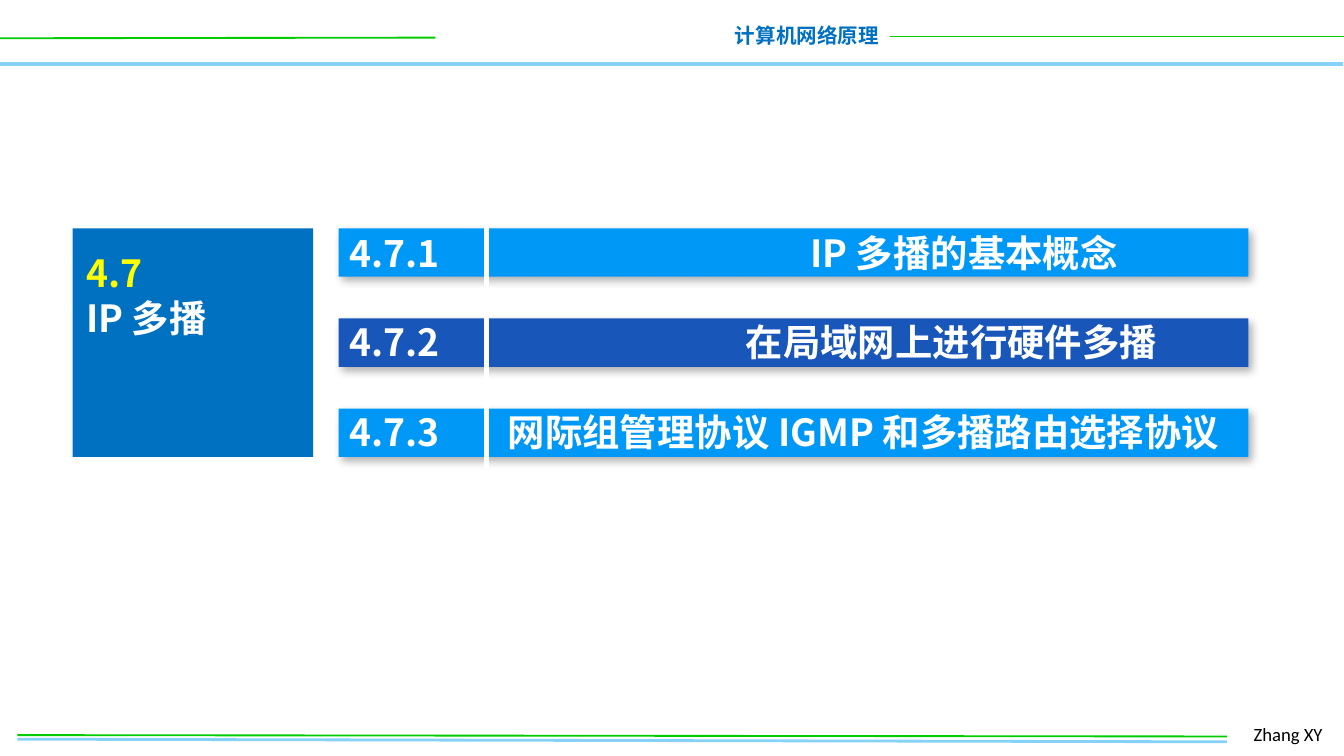
from dataclasses import dataclass

import lxml.etree
import pptx
import pptx.dml.color
import pptx.enum.shapes
import pptx.enum.text
import pptx.oxml.ns
import pptx.util

CELL = pptx.util.Inches(0.1)
COLS, ROWS = 100, 56.25
qn = pptx.oxml.ns.qn
Align = pptx.enum.text.PP_ALIGN


@dataclass(frozen=True)
class Theme:
    cjk: str = "Noto Sans CJK SC"
    latin: str = "Calibri"
    heading: float = 20
    header: float = 11
    footer: float = 10
    leading: float = 1.2
    white: str = "FFFFFF"
    black: str = "000000"
    yellow: str = "FFFF00"
    green: str = "00CC00"
    sky: str = "85D1F7"
    blue: str = "0070C0"
    bar: str = "0098F6"
    bar_active: str = "1956B9"


@dataclass(frozen=True)
class Box:
    """A rectangle in grid columns and rows."""
    col: float
    row: float
    cols: float
    rows: float

    def emu(self) -> list[int]:
        return [round(n * CELL) for n in (self.col, self.row, self.cols, self.rows)]


@dataclass(frozen=True)
class Rule:
    start: tuple[float, float]
    end: tuple[float, float]
    color: str
    width: float


@dataclass(frozen=True)
class Section:
    number: str
    name: str
    tab: float
    fill: str


T = Theme()
RULES = [
    Rule((-0.1, 4.75), (99.9, 4.75), T.sky, 2),
    Rule((0, 2.85), (32.4, 2.8), T.green, 1),
    Rule((66.2, 2.72), (100.1, 2.72), T.green, 1),
    Rule((1.3, 55), (91.3, 55.2), T.sky, 1.5),
    Rule((1.3, 54.7), (91.3, 54.8), T.green, 1),
]
DIVIDER = Rule((36.2, 16.2), (36.2, 41.2), T.white, 2.25)
SECTIONS = [
    Section("4.7.1", "IP 多播的基本概念", 34.3, T.bar),
    Section("4.7.2", "在局域网上进行硬件多播", 29.5, T.bar_active),
    Section("4.7.3", "网际组管理协议 IGMP 和多播路由选择协议", 11.8, T.bar),
]
FIRST_BAR = Box(25.2, 17, 67.7, 3.6)
BAR_PITCH = 6.7


def rgb(color: str) -> pptx.dml.color.RGBColor:
    return pptx.dml.color.RGBColor.from_string(color)


def add_rule(slide, rule: Rule) -> None:
    ends = [round(n * CELL) for n in (*rule.start, *rule.end)]
    line = slide.shapes.add_connector(pptx.enum.shapes.MSO_CONNECTOR.STRAIGHT, *ends)
    line.line.color.rgb = rgb(rule.color)
    line.line.width = pptx.util.Pt(rule.width)
    lxml.etree.SubElement(line._element.spPr, qn("a:effectLst"))


def add_panel(slide, box: Box, color: str):
    sp = slide.shapes.add_shape(pptx.enum.shapes.MSO_SHAPE.RECTANGLE, *box.emu())
    sp.shadow.inherit = False
    sp.fill.solid()
    sp.fill.fore_color.rgb = rgb(color)
    sp.line.fill.background()
    return sp


def add_soft_shadow(sp) -> None:
    effects = sp._element.spPr.find(qn("a:effectLst"))
    shadow = lxml.etree.SubElement(
        effects, qn("a:outerShdw"), blurRad=str(pptx.util.Pt(4.5)),
        dist=str(pptx.util.Pt(2.6)), dir=str(53 * 60000), algn="tl", rotWithShape="0")
    color = lxml.etree.SubElement(shadow, qn("a:srgbClr"), val=T.black)
    lxml.etree.SubElement(color, qn("a:alpha"), val="30000")


def format_paragraph(p, size: float, color: str, font: str = T.cjk,
                     bold: bool = True, align=Align.LEFT) -> None:
    p.alignment = align
    p.line_spacing = pptx.util.Pt(size * T.leading)
    p.space_before = pptx.util.Pt(0)
    for r in p.runs:
        r.font.size = pptx.util.Pt(size)
        r.font.bold = bold
        r.font.name = font
        r.font.color.rgb = rgb(color)
        lxml.etree.SubElement(r._r.get_or_add_rPr(), qn("a:ea"), typeface=font)


def add_text(slide, box: Box, text: str, wrap: bool = True):
    tf = slide.shapes.add_textbox(*box.emu()).text_frame
    tf.word_wrap = wrap
    tf.text = text
    return tf


def place_title(slide, box: Box, text: str):
    """Move the title to the box, in front of the panels, and fill it."""
    title = slide.shapes.title
    title.left, title.top, title.width, title.height = box.emu()
    slide.shapes._spTree.append(title._element)
    tf = title.text_frame
    tf.word_wrap = True
    tf.auto_size = pptx.enum.text.MSO_AUTO_SIZE.NONE
    tf.vertical_anchor = pptx.enum.text.MSO_ANCHOR.TOP
    tf.text = text
    return tf


def set_tab(p, cols: float) -> None:
    tabs = lxml.etree.SubElement(p._p.get_or_add_pPr(), qn("a:tabLst"))
    lxml.etree.SubElement(tabs, qn("a:tab"), pos=str(round(cols * CELL)), algn="l")


def build() -> None:
    prs = pptx.Presentation()
    prs.slide_width, prs.slide_height = round(COLS * CELL), round(ROWS * CELL)
    slide = prs.slides.add_slide(prs.slide_layouts[5])

    for rule in RULES:
        add_rule(slide, rule)
    tf = add_text(slide, Box(53.6, 1.2, 12.8, 2.9), "计算机网络原理", wrap=False)
    format_paragraph(tf.paragraphs[0], T.header, T.blue, align=Align.RIGHT)
    tf = add_text(slide, Box(92.3, 53.3, 7.4, 2.7), "Zhang XY")
    format_paragraph(tf.paragraphs[0], T.footer, T.black, font=T.latin, bold=False)

    for i, section in enumerate(SECTIONS):
        b = FIRST_BAR
        bar = Box(b.col, b.row + i * BAR_PITCH, b.cols, b.rows)
        add_soft_shadow(add_panel(slide, bar, section.fill))
    add_panel(slide, Box(5.4, 17, 17.9, 17), T.blue)
    add_rule(slide, DIVIDER)

    tf = place_title(slide, Box(5.4, 18.1, 17.8, 7.7), "4.7\nIP 多播")
    for p, color in zip(tf.paragraphs, (T.yellow, T.white)):
        format_paragraph(p, T.heading, color)

    items = "\n".join(f"{s.number}\t{s.name}" for s in SECTIONS)
    tf = add_text(slide, Box(25, 16.6, 69.8, 17.8), items)
    for i, (p, section) in enumerate(zip(tf.paragraphs, SECTIONS)):
        set_tab(p, section.tab)
        format_paragraph(p, T.heading, T.white)
        if i:
            p.space_before = pptx.util.Pt(T.heading * T.leading)

    prs.save("out.pptx")


if __name__ == "__main__":
    build()
